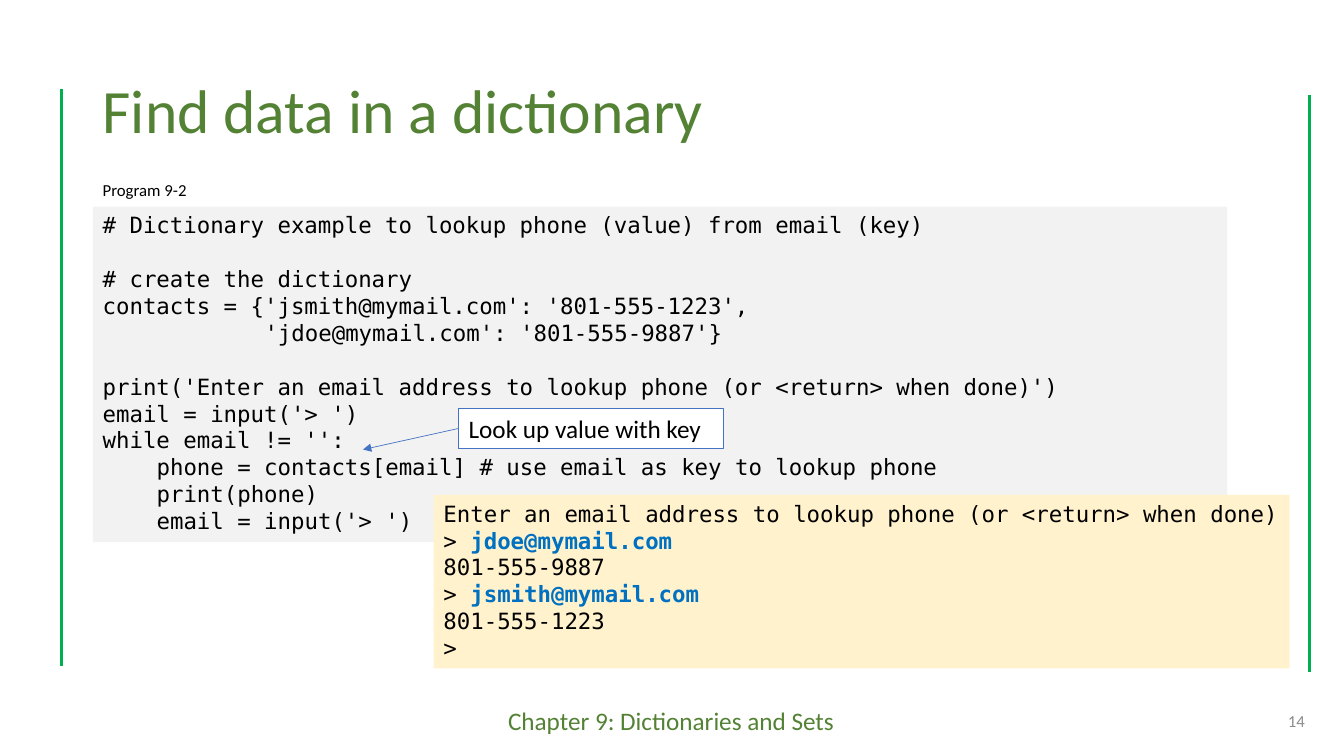
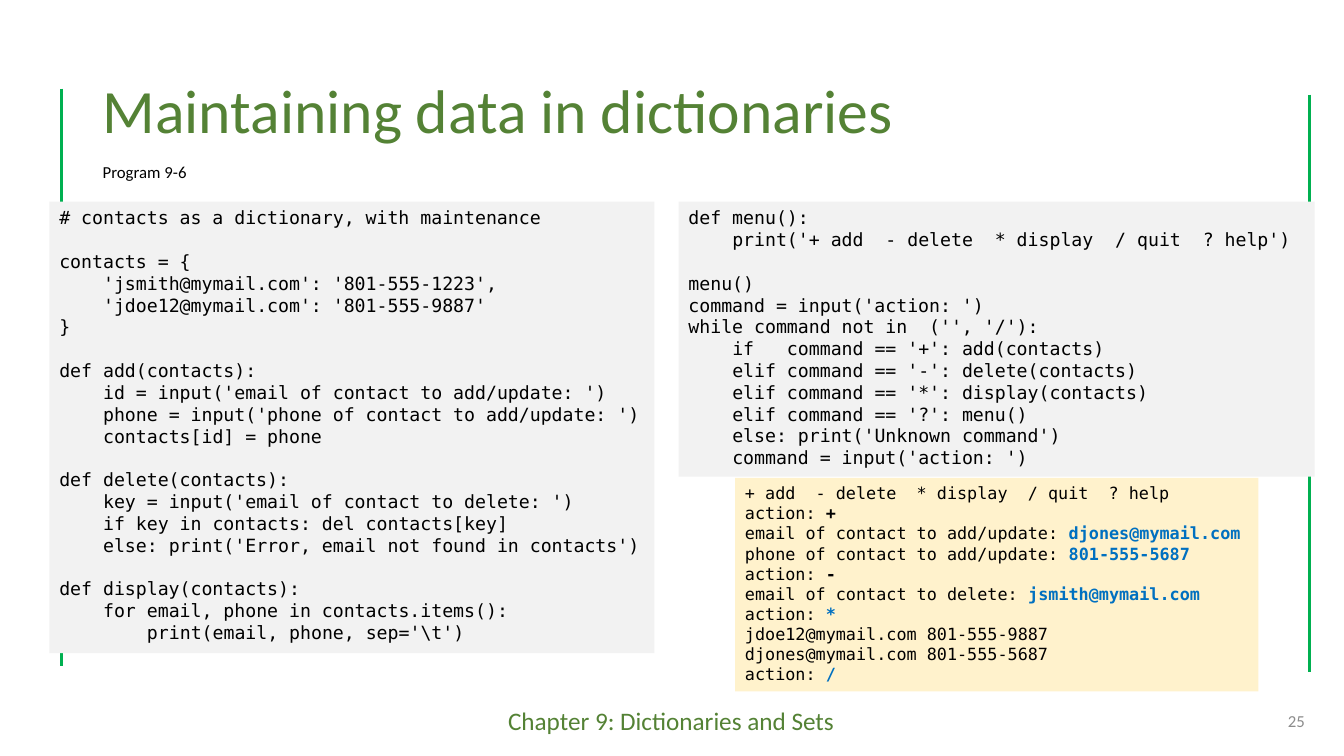
from dataclasses import dataclass

from lxml import etree
from pptx import Presentation
from pptx.dml.color import RGBColor
from pptx.enum.shapes import MSO_CONNECTOR, MSO_SHAPE
from pptx.enum.text import MSO_ANCHOR, PP_ALIGN
from pptx.oxml.ns import qn
from pptx.util import Inches, Pt

RECT = MSO_SHAPE.RECTANGLE
STRAIGHT = MSO_CONNECTOR.STRAIGHT
TOP, MIDDLE = MSO_ANCHOR.TOP, MSO_ANCHOR.MIDDLE
LEFT, RIGHT = PP_ALIGN.LEFT, PP_ALIGN.RIGHT

# Theme
BLACK, WHITE, GREY = "000000", "FFFFFF", "8C8C8C"
TITLE_GREEN, RULE_GREEN = "548235", "00B050"
BLUE, INPUT_BLUE = "4472C4", "0070C0"
CODE_FILL, OUTPUT_FILL = "F2F2F2", "FFF2CC"
BODY_FONT, CODE_FONT = "Calibri", "DejaVu Sans Mono"
CHAR_WIDTH, LINE_HEIGHT = 0.602, 1.2  # code font, in multiples of its size
CHAPTER = "Chapter 9: Dictionaries and Sets"


@dataclass(frozen=True)
class Box:
    left: float
    top: float
    width: float
    height: float

    def lengths(self) -> list:
        return [Inches(v) for v in (self.left, self.top, self.width, self.height)]


@dataclass(frozen=True)
class Line:
    text: str
    typed: str = ""
    typed_color: str = INPUT_BLUE


@dataclass(frozen=True)
class Panel:
    box: Box
    fill: str
    size: int
    lines: list[Line]


def code_lines(source: str) -> list[Line]:
    return [Line(row) for row in source.strip().split("\n")]


# Slide content
LOOKUP_CODE = code_lines("""
# Dictionary example to lookup phone (value) from email (key)

# create the dictionary
contacts = {'jsmith@mymail.com': '801-555-1223',
            'jdoe@mymail.com': '801-555-9887'}

print('Enter an email address to lookup phone (or <return> when done)')
email = input('> ')
while email != '':
    phone = contacts[email] # use email as key to lookup phone
    print(phone)
    email = input('> ')
""")

LOOKUP_OUTPUT = [
    Line("Enter an email address to lookup phone (or <return> when done)"),
    Line("> ", "jdoe@mymail.com"),
    Line("801-555-9887"),
    Line("> ", "jsmith@mymail.com"),
    Line("801-555-1223"),
    Line(">"),
]

FUNCTIONS_CODE = code_lines(r"""
# contacts as a dictionary, with maintenance

contacts = {
    'jsmith@mymail.com': '801-555-1223',
    'jdoe12@mymail.com': '801-555-9887'
}

def add(contacts):
    id = input('email of contact to add/update: ')
    phone = input('phone of contact to add/update: ')
    contacts[id] = phone

def delete(contacts):
    key = input('email of contact to delete: ')
    if key in contacts: del contacts[key]
    else: print('Error, email not found in contacts')

def display(contacts):
    for email, phone in contacts.items():
        print(email, phone, sep='\t')
""")

MENU_CODE = code_lines("""
def menu():
    print('+ add  - delete  * display  / quit  ? help')

menu()
command = input('action: ')
while command not in  ('', '/'):
    if   command == '+': add(contacts)
    elif command == '-': delete(contacts)
    elif command == '*': display(contacts)
    elif command == '?': menu()
    else: print('Unknown command')
    command = input('action: ')
""")

MENU_OUTPUT = [
    Line("+ add  - delete  * display  / quit  ? help"),
    Line("action: ", "+", BLACK),
    Line("email of contact to add/update: ", "djones@mymail.com"),
    Line("phone of contact to add/update: ", "801-555-5687"),
    Line("action: ", "-", BLACK),
    Line("email of contact to delete: ", "jsmith@mymail.com"),
    Line("action: ", "*"),
    Line("jdoe12@mymail.com 801-555-9887"),
    Line("djones@mymail.com 801-555-5687"),
    Line("action: ", "/"),
]


# Drawing helpers
def rgb(color: str) -> RGBColor:
    return RGBColor.from_string(color)


def set_font(font, name: str, size: float, color: str) -> None:
    font.name, font.size = name, Pt(size)
    font.color.rgb = rgb(color)


def write(sp, text: str, size: float, color: str = BLACK, anchor=TOP, align=LEFT):
    tf = sp.text_frame
    tf.word_wrap, tf.vertical_anchor = True, anchor
    p = tf.paragraphs[0]
    p.text, p.alignment = text, align
    set_font(p.font, BODY_FONT, size, color)
    return p


def add_text(s, box: Box, text: str, size: float, color: str = BLACK,
             anchor=TOP, align=LEFT):
    sp = s.shapes.add_textbox(*box.lengths())
    return write(sp, text, size, color, anchor, align)


def add_rect(s, box: Box, fill: str):
    sp = s.shapes.add_shape(RECT, *box.lengths())
    sp.shadow.inherit = False
    sp.fill.solid()
    sp.fill.fore_color.rgb = rgb(fill)
    sp.line.fill.background()
    return sp


def add_line(s, x1: float, y1: float, x2: float, y2: float, color: str, width: float):
    line = s.shapes.add_connector(STRAIGHT, Inches(x1), Inches(y1), Inches(x2), Inches(y2))
    line.line.color.rgb = rgb(color)
    line.line.width = Pt(width)
    etree.SubElement(line._element.spPr, qn("a:effectLst"))
    return line


def add_panel(s, panel: Panel) -> None:
    """Draw a listing; blank lines become spacing, leading blanks an indent."""
    tf = add_rect(s, panel.box, panel.fill).text_frame
    tf.word_wrap, tf.vertical_anchor, tf.margin_right = True, TOP, 0
    pitch = Pt(LINE_HEIGHT * panel.size)
    p, gap = tf.paragraphs[0], 0
    for line in panel.lines:
        code = line.text.lstrip()
        if not code:
            gap += pitch
            continue
        if p.runs:
            p = tf.add_paragraph()
        p.alignment, p.line_spacing, p.space_before = LEFT, pitch, gap
        gap = 0
        indent = len(line.text) - len(code)
        if indent:
            p._p.get_or_add_pPr().set("marL", str(Pt(indent * CHAR_WIDTH * panel.size)))
        set_font(p.font, CODE_FONT, panel.size, BLACK)
        p.add_run().text = code
        if line.typed:
            r = p.add_run()
            r.text, r.font.bold = line.typed, True
            r.font.color.rgb = rgb(line.typed_color)


def add_callout(s, box: Box, text: str, tip_x: float, tip_y: float) -> None:
    sp = add_rect(s, box, WHITE)
    sp.line.color.rgb = rgb(BLUE)
    sp.line.width = Pt(0.75)
    write(sp, text, 18)
    arrow = add_line(s, box.left, box.top + box.height / 2, tip_x, tip_y, BLUE, 0.5)
    arrow.begin_connect(sp, 1)
    etree.SubElement(arrow.line._get_or_add_ln(), qn("a:tailEnd"), type="triangle")


def add_base(prs, title: str, number: int):
    """Add a slide with the shared footer, side rules, title and number."""
    s = prs.slides.add_slide(prs.slide_layouts[6])
    add_text(s, Box(4.94, 6.95, 3.45, 0.4), CHAPTER, 18, TITLE_GREEN)
    for x, top in ((0.61, 0.88), (12.99, 0.94)):
        add_line(s, x, top, x, top + 5.73, RULE_GREEN, 2.25)
    p = add_text(s, Box(0.92, 0.4, 11.5, 1.45), title, 44, TITLE_GREEN, MIDDLE)
    p.line_spacing = 0.9
    add_text(s, Box(10.04, 6.95, 3, 0.4), str(number), 12, GREY, MIDDLE, RIGHT)
    return s


def add_program_label(s, top: float, text: str) -> None:
    add_text(s, Box(0.92, top, 2.03, 0.3), text, 12)


# Slides
def find_slide(prs) -> None:
    s = add_base(prs, "Find data in a dictionary", 14)
    add_panel(s, Panel(Box(0.92, 2.05, 11.25, 3.33), CODE_FILL, 16, LOOKUP_CODE))
    add_panel(s, Panel(Box(4.3, 4.91, 8.49, 1.72), OUTPUT_FILL, 16, LOOKUP_OUTPUT))
    add_program_label(s, 1.73, "Program 9-2")
    add_callout(s, Box(4.55, 4.05, 2.63, 0.4), "Look up value with key", 3.6, 4.46)


def maintain_slide(prs) -> None:
    s = add_base(prs, "Maintaining data in dictionaries", 25)
    add_panel(s, Panel(Box(0.49, 2, 6, 4.48), CODE_FILL, 13, FUNCTIONS_CODE))
    add_panel(s, Panel(Box(7.29, 4.74, 5.19, 2.12), OUTPUT_FILL, 12, MENU_OUTPUT))
    add_program_label(s, 1.56, "Program 9-6")
    add_panel(s, Panel(Box(6.73, 2, 6.31, 2.73), CODE_FILL, 13, MENU_CODE))


def main() -> None:
    prs = Presentation()
    prs.slide_width, prs.slide_height = Inches(13.33), Inches(7.5)
    find_slide(prs)
    maintain_slide(prs)
    prs.save("out.pptx")


if __name__ == "__main__":
    main()
